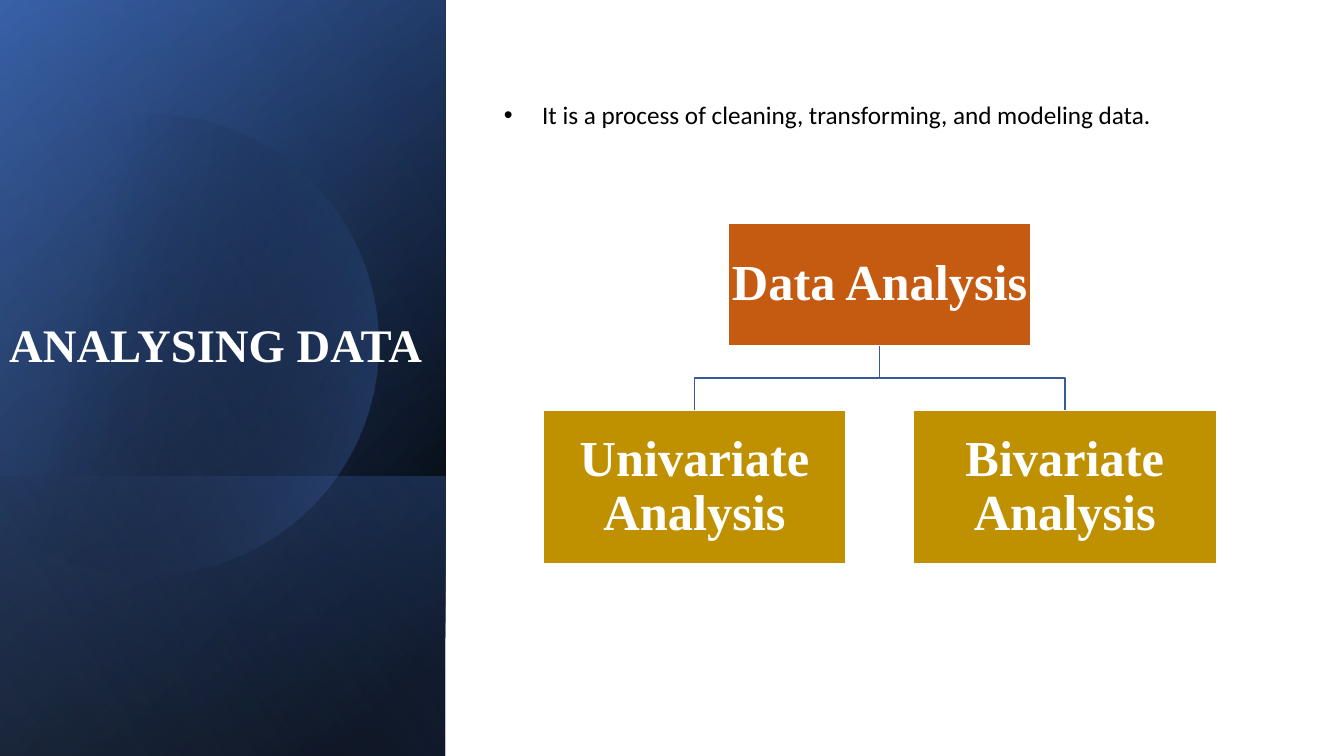
from collections import namedtuple
from math import acos, cos, pi, sin

from lxml.etree import SubElement
from pptx import Presentation
from pptx.dml.color import RGBColor
from pptx.enum.shapes import MSO_SHAPE
from pptx.enum.text import MSO_ANCHOR, PP_ALIGN
from pptx.oxml.ns import qn
from pptx.util import Inches, Pt

WIDTH, HEIGHT = Inches(13.33), Inches(7.5)
BLACK = RGBColor(0x00, 0x00, 0x00)
WHITE = RGBColor(0xFF, 0xFF, 0xFF)
NAVY = RGBColor(0x2F, 0x55, 0x97)
BLUE = RGBColor(0x44, 0x72, 0xC4)
PALE_BLUE = RGBColor(0x8F, 0xAA, 0xDC)
LINE_BLUE = RGBColor(0x36, 0x5B, 0x9D)
ORANGE = RGBColor(0xC5, 0x5A, 0x11)
GOLD = RGBColor(0xBF, 0x90, 0x00)
SERIF, SANS = "Times New Roman", "Calibri"

Box = namedtuple("Box", "left top width height")
PAGE = Box(0, 0, WIDTH, HEIGHT)


def part(box, left, top, width, height):
    """Return the part of a box given by shares of its width and height."""
    return Box(int(box.left + left * box.width), int(box.top + top * box.height),
               int(width * box.width), int(height * box.height))


def fill_gradient(shape, stops, angle):
    """Fill with (position %, colour, opacity %) stops; the angle runs clockwise."""
    shape.shadow.inherit = False
    shape.line.fill.background()
    shape.fill.gradient()
    gradient = shape._element.spPr.find(qn("a:gradFill"))
    stop_list = gradient.find(qn("a:gsLst"))
    for old_stop in list(stop_list):
        stop_list.remove(old_stop)
    for position, colour, opacity in stops:
        stop = SubElement(stop_list, qn("a:gs"), pos=str(position * 1000))
        tint = SubElement(stop, qn("a:srgbClr"), val=str(colour))
        SubElement(tint, qn("a:alpha"), val=str(opacity * 1000))
    gradient.find(qn("a:lin")).set("ang", str(angle * 60000))


def add_wash(slide, box, stops, angle):
    """Cover a box with a mirrored rectangle turned a quarter, so its gradient turns too."""
    left = box.left + (box.width - box.height) // 2
    top = box.top + (box.height - box.width) // 2
    wash = slide.shapes.add_shape(MSO_SHAPE.RECTANGLE, left, top, box.height, box.width)
    wash.rotation = 90
    wash._element.spPr.xfrm.set("flipH", "1")
    fill_gradient(wash, stops, angle)


def add_disc(slide, box):
    """Draw a disc whose left side is cut off straight."""
    radius = box.height / 2
    centre_x, centre_y = box.left + box.width - radius, box.top + radius
    reach = acos((box.left - centre_x) / radius)
    steps = 90
    angles = [reach * (2 * step / steps - 1) for step in range(steps + 1)]
    points = [(int(centre_x + radius * cos(angle)), int(centre_y + radius * sin(angle)))
              for angle in angles]
    builder = slide.shapes.build_freeform(*points[0])
    builder.add_line_segments(points[1:], close=True)
    fill_gradient(builder.convert_to_shape(), [(29, BLACK, 0), (100, BLUE, 43)], 14)


def set_text(frame, text, font, size, colour, align, spacing, bold=False):
    frame.word_wrap = True
    frame.text = text
    para = frame.paragraphs[0]
    para.alignment = align
    para.line_spacing = spacing
    span = para.runs[0].font
    span.name, span.size, span.bold = font, Pt(size), bold
    span.color.rgb = colour
    return para


def add_title_panel(slide, box):
    add_wash(slide, box, [(8, BLACK, 100), (100, NAVY, 100)], 50)
    add_wash(slide, box, [(0, BLACK, 0), (99, BLUE, 46)], 30)
    add_wash(slide, part(box, 0, 0.63, 1, 0.37), [(2, BLUE, 29), (100, BLACK, 30)], 130)
    add_disc(slide, part(box, -0.03, 0.15, 0.88, 0.61))
    add_wash(slide, box, [(0, BLACK, 0), (99, PALE_BLUE, 11)], 120)
    title = slide.shapes.add_textbox(*part(box, -0.02, 0.41, 0.99, 0.09))
    title.text_frame.vertical_anchor = MSO_ANCHOR.BOTTOM
    para = set_text(title.text_frame, "ANALYSING DATA", SERIF, 33.3, WHITE,
                    PP_ALIGN.RIGHT, 0.9, bold=True)
    para.space_after = Pt(6)


def add_bullet(slide, box):
    bullet = slide.shapes.add_textbox(*box)
    para = set_text(bullet.text_frame,
                    "It is a process of cleaning, transforming, and modeling data.",
                    SANS, 18, BLACK, PP_ALIGN.JUSTIFY, 1.5)
    para.space_after = Pt(6)
    properties = para._p.get_or_add_pPr()
    properties.set("marL", str(Inches(0.38)))
    properties.set("indent", str(-Inches(0.38)))
    SubElement(properties, qn("a:buFont"), typeface="Arial")
    SubElement(properties, qn("a:buChar"), char="•")


def add_node(slide, box, text, colour):
    node = slide.shapes.add_shape(MSO_SHAPE.RECTANGLE, *box)
    node.shadow.inherit = False
    node.fill.solid()
    node.fill.fore_color.rgb = colour
    node.line.color.rgb = WHITE
    node.line.width = Pt(1)
    frame = node.text_frame
    frame.margin_left = frame.margin_right = Inches(0.03)
    frame.margin_top = frame.margin_bottom = Inches(0.03)
    frame.vertical_anchor = MSO_ANCHOR.MIDDLE
    set_text(frame, text, SERIF, 36, WHITE, PP_ALIGN.CENTER, 0.9, bold=True)


def add_branch(slide, parent, child):
    """Draw an elbow from the bottom of the parent to the top of the child."""
    start_x, start_y = parent.left + parent.width // 2, parent.top + parent.height
    end_x = child.left + child.width // 2
    middle_y = (start_y + child.top) // 2
    builder = slide.shapes.build_freeform(start_x, start_y)
    builder.add_line_segments([(start_x, middle_y), (end_x, middle_y), (end_x, child.top)],
                              close=False)
    branch = builder.convert_to_shape()
    branch.shadow.inherit = False
    branch.fill.background()
    branch.line.color.rgb = LINE_BLUE
    branch.line.width = Pt(1)


def add_tree(slide, box):
    node_width, root_height, child_height = 0.45, 0.36, 0.45
    root = part(box, (1 - node_width) / 2, 0, node_width, root_height)
    children = {
        text: part(box, left, 1 - child_height, node_width, child_height)
        for text, left in (("Univariate Analysis", 0), ("Bivariate Analysis", 1 - node_width))
    }
    for child in children.values():
        add_branch(slide, root, child)
    add_node(slide, root, "Data Analysis", ORANGE)
    for text, child in children.items():
        add_node(slide, child, text, GOLD)


def main():
    deck = Presentation()
    deck.slide_width, deck.slide_height = WIDTH, HEIGHT
    slide = deck.slides.add_slide(deck.slide_layouts[6])
    add_title_panel(slide, part(PAGE, 0, 0, 0.3315, 1))
    add_tree(slide, part(PAGE, 0.404, 0.295, 0.501, 0.451))
    add_bullet(slide, part(PAGE, 0.3675, 0.105, 0.62, 0.07))
    deck.save("out.pptx")


if __name__ == "__main__":
    main()
